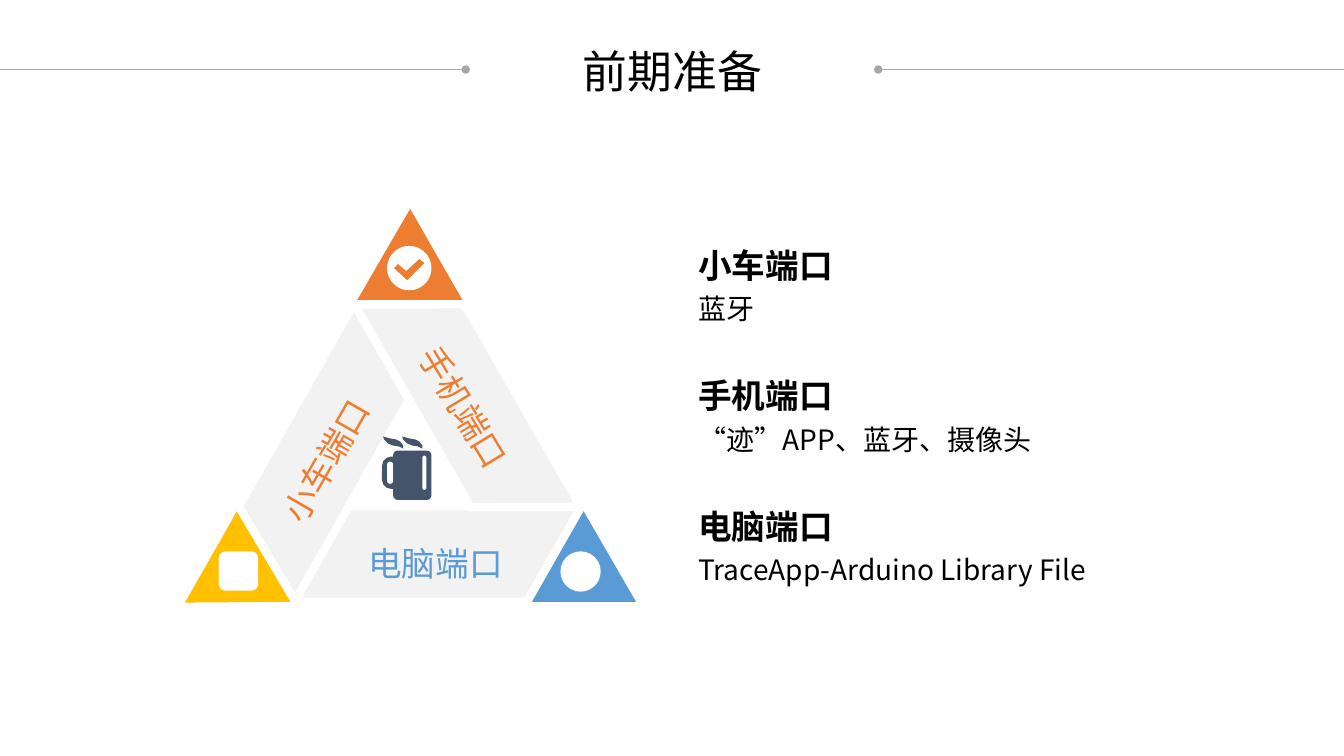
from dataclasses import dataclass

from lxml import etree
from pptx import Presentation
from pptx import util as u
from pptx.dml.color import RGBColor
from pptx.enum import lang, shapes, text
from pptx.oxml.ns import qn

CELLS_PER_INCH = 10
COLUMNS, ROWS = 133.33, 75


@dataclass(frozen=True)
class Theme:
    """Colours, fonts and type sizes of the deck."""
    orange: str = "ED7D31"
    yellow: str = "FFC000"
    blue: str = "5B9BD5"
    slate: str = "44546A"
    pale: str = "F2F2F2"
    white: str = "FFFFFF"
    black: str = "000000"
    rule: str = "A6A6A6"
    body_font: str = "Noto Sans CJK SC"
    label_font: str = "Calibri"
    title_size: int = 32
    heading_size: int = 24
    detail_size: int = 20
    spacing: float = 1.2


THEME = Theme()
KIND = shapes.MSO_SHAPE
ALIGN = text.PP_ALIGN


def cells(*values):
    """Turn grid cells into slide lengths."""
    return [u.Inches(value / CELLS_PER_INCH) for value in values]


def paint(shape, color):
    """Give a shape a flat fill without outline or shadow."""
    shape.shadow.inherit = False
    shape.fill.solid()
    shape.fill.fore_color.rgb = RGBColor.from_string(color)
    shape.line.fill.background()
    return shape


def add_block(page, kind, at, color, rotation=0, bend=None):
    """Add a flat preset shape on the grid."""
    shape = paint(page.shapes.add_shape(kind, *cells(*at)), color)
    shape.rotation = rotation
    if bend is not None:
        shape.adjustments[0] = bend
    return shape


def add_outline(page, points, color):
    """Add a closed polygon through grid points."""
    start, *rest = [cells(*point) for point in points]
    builder = page.shapes.build_freeform(*start)
    builder.add_line_segments(rest, close=True)
    return paint(builder.convert_to_shape(), color)


def add_bar(page, at, rotation):
    """Add one side of the triangle with its wide white edge."""
    bar = add_block(page, KIND.PARALLELOGRAM, at, THEME.pale, rotation, 0.57)
    bar.line.color.rgb = RGBColor.from_string(THEME.white)
    bar.line.width = u.Pt(6)


def add_rule(page, left, right, row, dotted_end):
    """Add a thin title rule with a dot at one end."""
    rule = page.shapes.add_connector(
        shapes.MSO_CONNECTOR.STRAIGHT, *cells(left, row, right, row))
    rule.line.color.rgb = RGBColor.from_string(THEME.rule)
    rule.line.width = u.Pt(0.5)
    etree.SubElement(rule.line._get_or_add_ln(), qn(f"a:{dotted_end}"), type="oval")
    etree.SubElement(rule._element.spPr, qn("a:effectLst"))


def add_span(para, words, size, color, font, bold=False):
    """Add one formatted run to a paragraph."""
    span = para.add_run()
    span.text = words
    span.font.size = u.Pt(size)
    span.font.bold = bold
    span.font.color.rgb = RGBColor.from_string(color)
    span.font.name = font
    span.font.language_id = lang.MSO_LANGUAGE_ID.SIMPLIFIED_CHINESE
    etree.SubElement(span.font._element, qn("a:ea"), typeface=THEME.body_font)


def add_text(page, at, lines, align=ALIGN.CENTER, color=THEME.black,
             font=THEME.body_font, spacing=None, rotation=0, wrap=True):
    """Add a text box from lines of words, size and weight."""
    box = page.shapes.add_textbox(*cells(*at))
    box.rotation = rotation
    frame = box.text_frame
    frame.word_wrap = wrap
    frame.auto_size = text.MSO_AUTO_SIZE.SHAPE_TO_FIT_TEXT
    for index, (words, size, bold) in enumerate(lines):
        para = frame.add_paragraph() if index else frame.paragraphs[0]
        para.alignment = align
        if spacing:
            para.line_spacing = spacing
        add_span(para, words, size, color, font, bold)


def add_title(page, words):
    """Add the title between its two rules."""
    rule_length, row = 46.2, 6.9
    add_rule(page, 0, rule_length, row, "tailEnd")
    add_rule(page, COLUMNS - rule_length, COLUMNS, row, "headEnd")
    add_text(page, (56.8, 3.8, 19.8, 6.4),
             [(words, THEME.title_size, False)], wrap=False)


def add_triangle(page):
    """Add the three corners and sides of the triangle."""
    sides = [
        ((52.1, 50.2), THEME.blue, (29.1, 50.2), 0),
        ((19.7, 52.6), THEME.yellow, (17.9, 40.1), 119.6),
        ((33.8, 23.1), THEME.orange, (32.1, 35.5), 240.2),
    ]
    for corner, color, bar, rotation in sides:
        add_block(page, KIND.ISOSCELES_TRIANGLE, (*corner, 11, 9.5), color, rotation)
        add_bar(page, (*bar, 28.6, 9.5), rotation)


def add_mug(page):
    """Add the steaming mug at the centre."""
    parts = [
        ((37.9, 45.3, 3, 3.2), THEME.slate, 0.3),
        ((38.4, 45.8, 0.6, 2.2), THEME.white, 0.5),
        ((39, 44.7, 3.8, 4.9), THEME.slate, 0.12),
        ((41.9, 45.2, 0.4, 3.4), THEME.white, 0.5),
    ]
    for at, color, bend in parts:
        add_block(page, KIND.ROUNDED_RECTANGLE, at, color, bend=bend)
    wisp = [(0, 0), (0.7, 0.2), (1.3, 0.3), (1.7, 0.5), (2, 0.9), (2, 1.2),
            (1.6, 1), (1, 0.9), (0.5, 0.7), (0.1, 0.3)]
    for left in (38, 39.9):
        add_outline(page, [(left + x, 43.3 + y) for x, y in wisp], THEME.slate)


def add_icons(page):
    """Add the corner badges and the central mug."""
    add_block(page, KIND.OVAL, (55.6, 54.7, 4, 4), THEME.white)
    add_block(page, KIND.OVAL, (38.4, 24.4, 4.4, 4.4), THEME.white)
    tick = [(39.1, 26.6), (39.5, 26.2), (40.3, 26.9), (41.6, 25.7),
            (42.1, 26.1), (40.4, 27.8)]
    add_outline(page, tick, THEME.orange)
    add_block(page, KIND.ROUNDED_RECTANGLE, (21.7, 54.7, 3.9, 3.9), THEME.white)
    add_mug(page)


def main():
    """Build the slide and save the deck."""
    deck = Presentation()
    deck.slide_width, deck.slide_height = cells(COLUMNS, ROWS)
    page = deck.slides.add_slide(deck.slide_layouts[6])
    add_triangle(page)
    add_icons(page)
    add_title(page, "前期准备")

    ports = [
        ("小车端口", "蓝牙", (20.4, 42.7), 299.9, THEME.orange),
        ("手机端口", "“迹”APP、蓝牙、摄像头", (35.1, 37.4), 58.8, THEME.orange),
        ("电脑端口", "TraceApp-Arduino Library File", (31.8, 52.6), 0, THEME.blue),
    ]
    for index, (name, detail, label, rotation, color) in enumerate(ports):
        add_text(page, (68.3, 23 + 12.95 * index, 57.8, 9.9),
                 [(name, THEME.heading_size, True), (detail, THEME.detail_size, False)],
                 align=ALIGN.JUSTIFY, spacing=THEME.spacing)
        add_text(page, (*label, 22.8, 5.4), [(name, THEME.heading_size, False)],
                 color=color, font=THEME.label_font, spacing=THEME.spacing,
                 rotation=rotation)
    deck.save("out.pptx")


if __name__ == "__main__":
    main()
